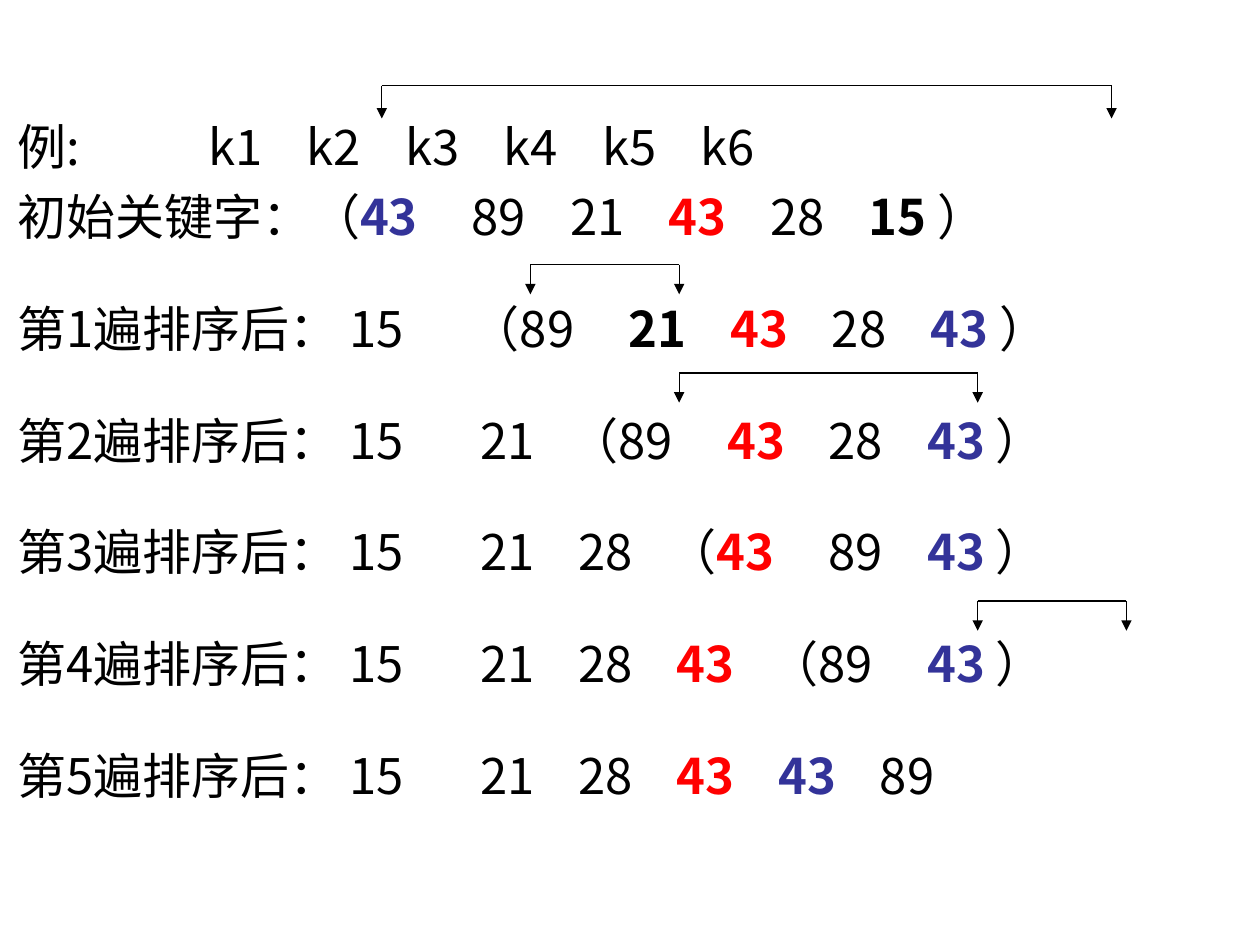
import pptx
import pptx.util
import pptx.dml.color
import pptx.enum.shapes
import pptx.oxml
import pptx.oxml.ns
from lxml import etree

Pt = pptx.util.Pt
qn = pptx.oxml.ns.qn

COLORS = {"black": "000000", "red": "FF0000", "blue": "333399"}
FONT = "Noto Sans CJK SC"
BOLD_MARKS = {"r": "red", "b": "blue", "k": "black"}

# label, start of first key, space before, keys (r, b, k mark bold colours)
ROWS = [
    ("例:\t", 109, 0, "k1 k2 k3 k4 k5 k6"),
    ("初始关键字：（", 201.5, 7, "43:b 89 21 43:r 28 15:k ）"),
    ("第1遍排序后： ", 208, 30.4, "15 （ 89 21:k 43:r 28 43:b ）"),
    ("第2遍排序后： ", 208, 30.4, "15 21 （ 89 43:r 28 43:b ）"),
    ("第3遍排序后： ", 208, 30.4, "15 21 28 （ 43:r 89 43:b ）"),
    ("第4遍排序后： ", 208, 30.4, "15 21 28 43:r （ 89 43:b ）"),
    ("第5遍排序后： ", 208, 30.4, "15 21 28 43:r 43:b 89"),
]
BRACKETS = [
    (218.2, 635.2, 49, 18.7),
    (303.1, 388.1, 151.2, 17),
    (388.1, 558.7, 213.1, 17),
    (558.7, 643.7, 343.4, 17),
]
KEY_STEP, BOLD_STEP = 56.25, 58
BRACE_STEP, BRACE_BACK = 28.8, 5.2


def lay_out(label, start, keys):
    runs, stops = [(label, None)], []
    if label.endswith("\t"):
        stops.append(start)
    position, needs_tab = start, False
    for token in keys.split():
        text, _, mark = token.partition(":")
        if text == "）":
            runs.append((" ）", None))
            continue
        if text == "（":
            runs.append(("\t（", None))
            stops.append(position - BRACE_BACK)
            position += BRACE_STEP
            needs_tab = False
            continue
        if needs_tab:
            runs.append(("\t", None))
            stops.append(position)
        runs.append((text, mark or None))
        position += BOLD_STEP if mark else KEY_STEP
        needs_tab = True
    return runs, stops


def add_row(paragraph, label, start, space, keys):
    runs, stops = lay_out(label, start, keys)
    paragraph.line_spacing = Pt(33.4)
    paragraph.space_before = Pt(space)
    tab_list = etree.SubElement(paragraph._p.get_or_add_pPr(), qn("a:tabLst"))
    for stop in stops:
        etree.SubElement(tab_list, qn("a:tab"), pos=str(int(Pt(stop))), algn="l")
    for text, mark in runs:
        run = paragraph.add_run()
        run.text = text
        font_format = {"size": Pt(28), "bold": mark is not None, "name": FONT}
        for name, value in font_format.items():
            setattr(run.font, name, value)
        color = COLORS[BOLD_MARKS.get(mark, "black")]
        run.font.color.rgb = pptx.dml.color.RGBColor.from_string(color)
        etree.SubElement(run._r.get_or_add_rPr(), qn("a:ea"), typeface=FONT)


def add_line(group, begin_x, begin_y, end_x, end_y, arrow):
    connector = group.shapes.add_connector(
        pptx.enum.shapes.MSO_CONNECTOR.STRAIGHT,
        Pt(begin_x), Pt(begin_y), Pt(end_x), Pt(end_y))
    connector.line.width = Pt(0.75)
    connector.line.color.rgb = pptx.dml.color.RGBColor.from_string(COLORS["black"])
    if arrow:
        etree.SubElement(connector.line._get_or_add_ln(), qn("a:tailEnd"), type="triangle")
    etree.SubElement(connector._element.spPr, qn("a:effectLst"))


def main():
    presentation = pptx.Presentation()
    presentation.slide_width, presentation.slide_height = Pt(720), Pt(540)
    slide = presentation.slides.add_slide(presentation.slide_layouts[6])

    text_box = slide.shapes.add_textbox(Pt(3), Pt(60.5), Pt(703.5), Pt(436.3))
    frame = text_box.text_frame
    frame_format = {"word_wrap": True, "margin_left": Pt(7.2), "margin_top": Pt(6.2)}
    for name, value in frame_format.items():
        setattr(frame, name, value)
    for index, row in enumerate(ROWS):
        paragraph = frame.add_paragraph() if index else frame.paragraphs[0]
        add_row(paragraph, *row)

    for left, right, top, drop in BRACKETS:
        group = slide.shapes.add_group_shape()
        add_line(group, left, top, right, top, False)
        for x in (left, right):
            add_line(group, x, top, x, top + drop, True)

    presentation.save("out.pptx")


if __name__ == "__main__":
    main()
